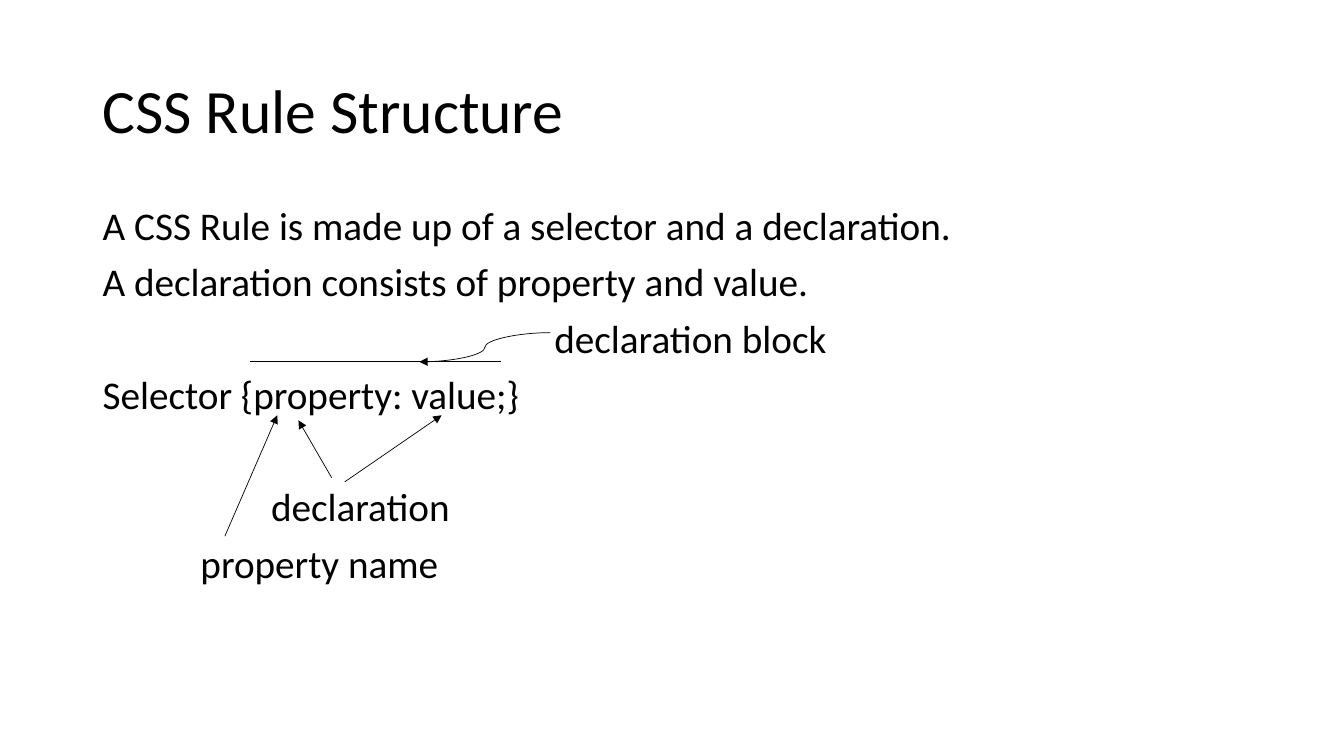
"""Build a slide that labels the parts of a CSS rule."""
import dataclasses

import lxml.etree
import pptx
import pptx.dml.color
import pptx.enum.shapes
import pptx.enum.text
import pptx.oxml.ns
import pptx.util

Inches = pptx.util.Inches
Pt = pptx.util.Pt
STRAIGHT = pptx.enum.shapes.MSO_CONNECTOR.STRAIGHT
CURVE = pptx.enum.shapes.MSO_CONNECTOR.CURVE


@dataclasses.dataclass(frozen=True)
class Theme:
    """Colours, font and sizes of the slide."""
    ink: pptx.dml.color.RGBColor = pptx.dml.color.RGBColor(0, 0, 0)
    font: str = "Calibri"
    title_size: int = 44
    body_size: int = 28
    line_width: float = 0.5
    line_spacing: float = 0.9
    gap: int = 10
    wide_gap: int = 50


THEME = Theme()

BODY_LINES = [
    ("A CSS Rule is made up of a selector and a declaration.", 0, THEME.gap),
    ("A declaration consists of property and value.", 0, THEME.gap),
    ("declaration block", 4.48, THEME.gap),
    ("Selector {property: value;}", 0, THEME.gap),
    ("declaration", 1.67, THEME.wide_gap),
    ("property name", 0.97, THEME.gap),
]

POINTERS = [
    (STRAIGHT, (3.29, 4.74), (2.96, 4.17)),
    (STRAIGHT, (3.42, 4.78), (4.38, 4.12)),
    (STRAIGHT, (2.23, 5.32), (2.75, 4.12)),
    (CURVE, (5.46, 3.3), (4.16, 3.59)),
]


def add_text(page, top, height, lines, size, anchor):
    """Add a text box of (text, indent, space before) lines."""
    box = page.shapes.add_textbox(Inches(0.92), Inches(top), Inches(11.5), Inches(height))
    frame = box.text_frame
    frame.word_wrap = True
    frame.vertical_anchor = anchor
    frame.text = "\n".join(text for text, _, _ in lines)
    for para, (_, indent, before) in zip(frame.paragraphs, lines):
        para.line_spacing = THEME.line_spacing
        para.space_before = Pt(before)
        para._p.get_or_add_pPr().set("marL", str(Inches(indent)))
        for span in para.runs:
            span.font.name = THEME.font
            span.font.size = Pt(size)
            span.font.color.rgb = THEME.ink


def add_line(page, kind, start, end, arrow=True):
    """Add a thin connector, with an arrowhead at its end if wanted."""
    line = page.shapes.add_connector(kind, *map(Inches, start + end))
    line.line.color.rgb = THEME.ink
    line.line.width = Pt(THEME.line_width)
    if arrow:
        outline = line.line._get_or_add_ln()
        lxml.etree.SubElement(outline, pptx.oxml.ns.qn("a:tailEnd"), type="triangle")
    lxml.etree.SubElement(line._element.spPr, pptx.oxml.ns.qn("a:effectLst"))


def main():
    """Build and save the slide."""
    deck = pptx.Presentation()
    deck.slide_width = Inches(13.33)
    deck.slide_height = Inches(7.5)
    page = deck.slides.add_slide(deck.slide_layouts[6])
    anchors = pptx.enum.text.MSO_ANCHOR
    add_text(page, 0.4, 1.45, [("CSS Rule Structure", 0, 0)], THEME.title_size, anchors.MIDDLE)
    add_text(page, 2, 4.76, BODY_LINES, THEME.body_size, anchors.TOP)
    add_line(page, STRAIGHT, (2.48, 3.59), (4.97, 3.59), arrow=False)
    for kind, start, end in POINTERS:
        add_line(page, kind, start, end)
    deck.save("out.pptx")


if __name__ == "__main__":
    main()
